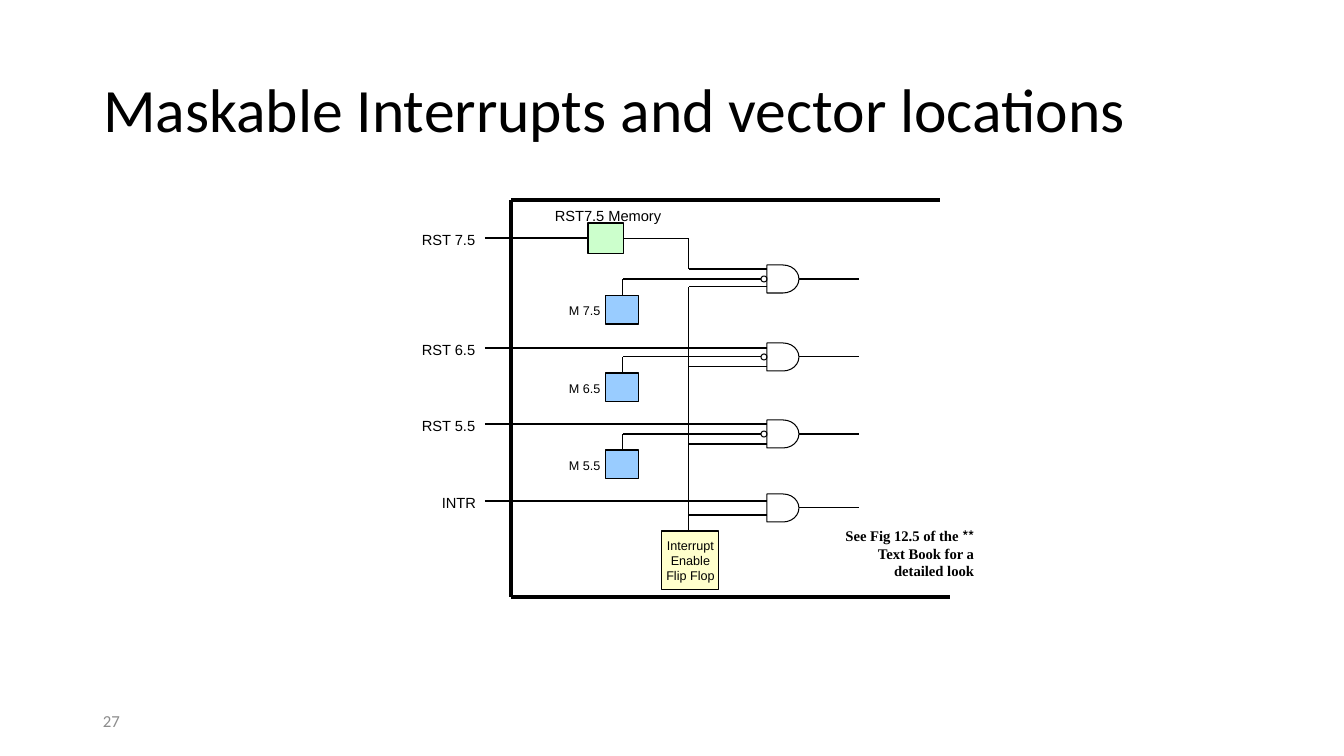
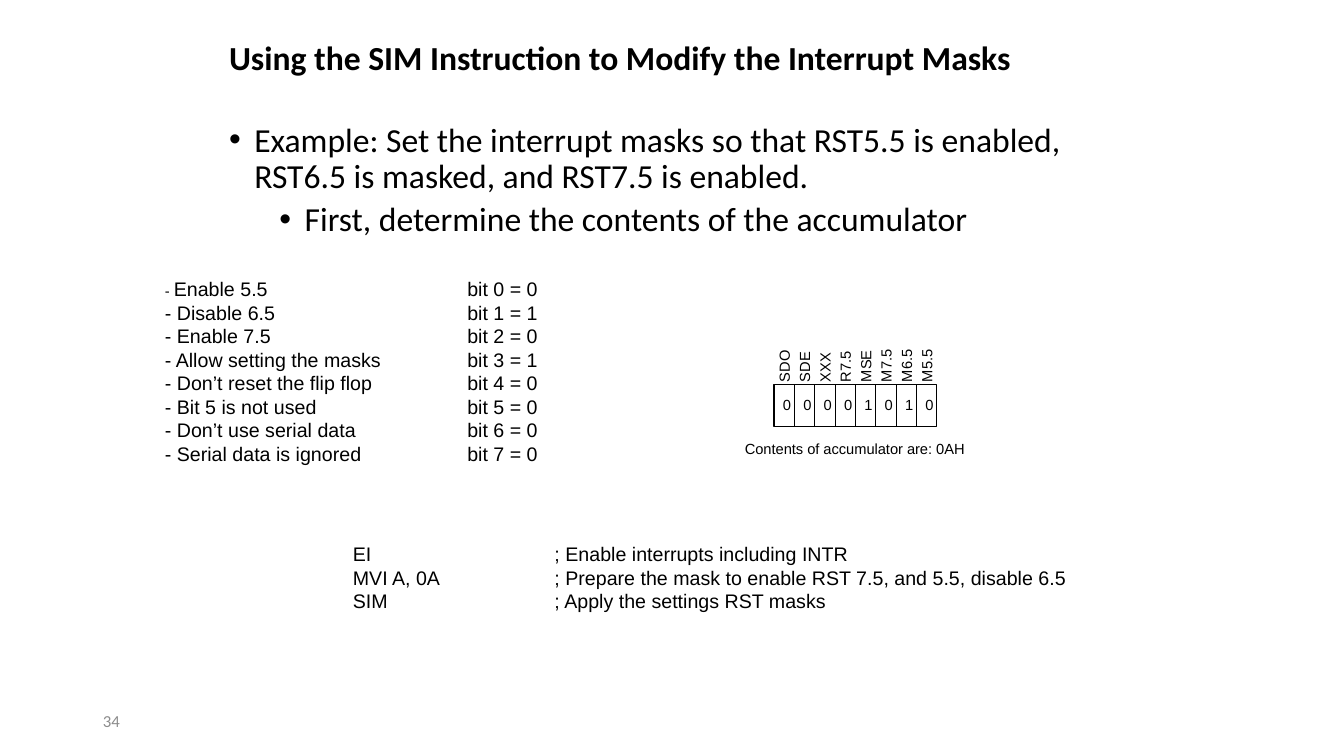
from dataclasses import dataclass

from lxml import etree
from pptx import Presentation
from pptx import util as u
from pptx.dml.color import RGBColor
from pptx.enum import shapes, text
from pptx.oxml import ns

# Shared scale, colours and fonts
PIXEL = 12192000 / 1344
BLACK, GREY = "000000", "8C8C8C"
GREEN, BLUE, YELLOW = "CCFFCC", "99CCFF", "FFFFCC"
HEADING, LABEL, NOTE = "Calibri", "Arial", "Times New Roman"
LEFT, CENTER, RIGHT = text.PP_ALIGN.LEFT, text.PP_ALIGN.CENTER, text.PP_ALIGN.RIGHT
TOP, MIDDLE = text.MSO_ANCHOR.TOP, text.MSO_ANCHOR.MIDDLE
RECTANGLE = shapes.MSO_SHAPE.RECTANGLE


@dataclass
class Box:
    left: float
    top: float
    width: float
    height: float


@dataclass
class Interrupt:
    name: str
    label_width: int
    pin_y: int
    pin_end: int
    gate_y: int
    enable_y: int
    mask: str = ""


@dataclass
class Bit:
    name: str
    value: str


def px(length: float) -> u.Emu:
    return u.Emu(round(length * PIXEL))


def color(value: str) -> RGBColor:
    return RGBColor.from_string(value)


def place(shape, box: Box) -> None:
    shape.left, shape.top = px(box.left), px(box.top)
    shape.width, shape.height = px(box.width), px(box.height)


def write(shape, paragraphs, *, size=10.5, font=LABEL, fill=BLACK, bold=False,
          align=LEFT, anchor=TOP, wrap=True, grow=False, spacing=None, tab=None):
    """Fill a shape; a paragraph is a string or a list of (text, size) runs."""
    frame = shape.text_frame
    frame.word_wrap = wrap
    frame.vertical_anchor = anchor
    frame.auto_size = (text.MSO_AUTO_SIZE.SHAPE_TO_FIT_TEXT if grow
                       else text.MSO_AUTO_SIZE.NONE)
    for index, content in enumerate(paragraphs):
        paragraph = frame.paragraphs[0] if index == 0 else frame.add_paragraph()
        paragraph.alignment = align
        if spacing:
            paragraph.line_spacing = spacing
        if tab:
            properties = paragraph._p.get_or_add_pPr()
            stops = etree.SubElement(properties, ns.qn("a:tabLst"))
            etree.SubElement(stops, ns.qn("a:tab"), pos=str(u.Inches(tab)), algn="l")
        runs = [(content, size)] if isinstance(content, str) else content
        for words, points in runs:
            run = paragraph.add_run()
            run.text = words
            run.font.size = u.Pt(points)
            run.font.name = font
            run.font.bold = bold
            run.font.color.rgb = color(fill)
    return frame


def add_text(slide, box: Box, *paragraphs, rotation=0, **style):
    shape = slide.shapes.add_textbox(0, 0, 0, 0)
    write(shape, paragraphs, **style)
    place(shape, box)
    shape.rotation = rotation
    return shape


def add_label(slide, box: Box, words: str, **style):
    return add_text(slide, box, words, wrap=False, grow=True, **style)


def add_outline(slide, box: Box, kind=RECTANGLE, fill: str = ""):
    shape = slide.shapes.add_shape(kind, 0, 0, 0, 0)
    place(shape, box)
    shape.shadow.inherit = False
    if fill:
        shape.fill.solid()
        shape.fill.fore_color.rgb = color(fill)
    else:
        shape.fill.background()
    shape.line.color.rgb = color(BLACK)
    shape.line.width = u.Pt(0.75)
    return shape


def add_wire(slide, *points: tuple[float, float], weight: float = 0.75) -> None:
    """Join the points with straight lines."""
    for (x1, y1), (x2, y2) in zip(points, points[1:]):
        wire = slide.shapes.add_connector(
            shapes.MSO_CONNECTOR.STRAIGHT, px(x1), px(y1), px(x2), px(y2))
        wire.line.color.rgb = color(BLACK)
        wire.line.width = u.Pt(weight)
        etree.SubElement(wire._element.spPr, ns.qn("a:effectLst"))


def start_slide(presentation, layout: int, title: str, box: Box, number: str,
                size: float, bold: bool = False):
    slide = presentation.slides.add_slide(presentation.slide_layouts[layout])
    place(slide.shapes.title, box)
    write(slide.shapes.title, [title], size=size, font=HEADING, bold=bold,
          anchor=MIDDLE, spacing=0.9)
    add_text(slide, Box(93, 701, 302, 40), number, size=12, font=HEADING,
             fill=GREY, anchor=MIDDLE)
    return slide


def add_bullet(paragraph, level: int, before: float) -> None:
    paragraph.level = level
    paragraph.space_before = u.Pt(before)
    properties = paragraph._p.get_or_add_pPr()
    properties.set("marL", str(u.Inches(0.25 + 0.5 * level)))
    properties.set("indent", str(u.Inches(-0.25)))
    etree.SubElement(properties, ns.qn("a:buFont"), typeface="Arial")
    etree.SubElement(properties, ns.qn("a:buChar"), char="•")


presentation = Presentation()
presentation.slide_width, presentation.slide_height = px(1344), px(756)

# Slide 1: interrupt logic
slide = start_slide(presentation, 5, "Maskable Interrupts and vector locations",
                    Box(93, 40, 1159, 146), "27", 44)

GATE_X, GATE_WIDTH, GATE_HEIGHT = 767, 32, 28
MEMORY_X, TRUNK_X, STEM_X = 588, 689, 623
interrupts = [
    Interrupt("RST 7.5", 75, 238, MEMORY_X, 265, 287, "M 7.5"),
    Interrupt("RST 6.5", 75, 348, GATE_X, 343, 367, "M 6.5"),
    Interrupt("RST 5.5", 75, 424, GATE_X, 420, 444, "M 5.5"),
    Interrupt("INTR", 55, 501, GATE_X, 494, 515),
]

# Processor boundary
add_wire(slide, (940, 200), (511, 200), (511, 597), (950, 597), weight=3)

# Each interrupt: pin, mask, gate and output
for interrupt in interrupts:
    middle_y = interrupt.gate_y + GATE_HEIGHT / 2
    add_label(slide, Box(487 - interrupt.label_width, interrupt.pin_y - 12,
                         interrupt.label_width, 28), interrupt.name)
    add_wire(slide, (485, interrupt.pin_y), (interrupt.pin_end, interrupt.pin_y))
    add_wire(slide, (TRUNK_X, interrupt.enable_y), (GATE_X, interrupt.enable_y))
    add_outline(slide, Box(GATE_X, interrupt.gate_y, GATE_WIDTH, GATE_HEIGHT),
                shapes.MSO_SHAPE.FLOWCHART_DELAY)
    add_wire(slide, (GATE_X + GATE_WIDTH, middle_y), (859, middle_y))
    if interrupt.mask:
        mask_y = interrupt.gate_y + 30
        add_outline(slide, Box(606, mask_y, 33, 29), fill=BLUE)
        add_label(slide, Box(559, mask_y + 3, 52, 25), interrupt.mask, size=9)
        add_wire(slide, (STEM_X, mask_y), (STEM_X, middle_y), (761, middle_y))
        add_outline(slide, Box(761, middle_y - 3, 6, 6), shapes.MSO_SHAPE.OVAL)

# RST 7.5 memory
add_outline(slide, Box(MEMORY_X, 223, 36, 31), fill=GREEN)
add_label(slide, Box(545, 202, 128, 28), "RST7.5 Memory")
add_wire(slide, (624, 239), (TRUNK_X, 239), (TRUNK_X, 269), (GATE_X, 269))

# Enable flip flop and its trunk
add_wire(slide, (TRUNK_X, 531), (TRUNK_X, interrupts[0].enable_y))
flip_flop = add_outline(slide, Box(662, 531, 57, 59), fill=YELLOW)
write(flip_flop, ["Interrupt", "Enable", "Flip Flop"], size=9, align=CENTER,
      anchor=MIDDLE, wrap=False)

# Book reference, set right to left
reference = add_text(slide, Box(820, 522, 164, 64),
                     "** See Fig 12.5 of the Text Book for a detailed look ",
                     font=NOTE, bold=True, align=RIGHT, grow=True)
reference.text_frame.paragraphs[0]._p.get_or_add_pPr().set("rtl", "1")

# Slide 2: mask example
slide = start_slide(presentation, 1,
                    "Using the SIM Instruction to Modify the Interrupt Masks",
                    Box(219, 30, 907, 59), "34", 24, bold=True)
body = slide.placeholders[1]
place(body, Box(219, 118, 932, 557))
example = write(body, [
    "Example: Set the interrupt masks so that RST5.5 is enabled, "
    "RST6.5 is masked, and RST7.5 is enabled.",
    "First, determine the contents of the accumulator",
], size=24, font=HEADING, spacing=0.9)
for level, before in enumerate((10, 5)):
    add_bullet(example.paragraphs[level], level, before)

# Settings and their bits
add_text(slide, Box(155, 272, 507, 201),
         [("- ", 10.5), ("Enable 5.5\tbit 0 = 0", 14)],
         "- Disable 6.5\tbit 1 = 1",
         "- Enable 7.5\tbit 2 = 0",
         "- Allow setting the masks\tbit 3 = 1",
         "- Don’t reset the flip flop\tbit 4 = 0",
         "- Bit 5 is not used\tbit 5 = 0",
         "- Don’t use serial data\tbit 6 = 0",
         "- Serial data is ignored\tbit 7 = 0",
         size=14, grow=True, tab=3)

# Accumulator cells, each under its upright bit name
bits = [Bit("SDO", "0"), Bit("SDE", "0"), Bit("XXX", "0"), Bit("R7.5", "0"),
        Bit("MSE", "1"), Bit("M7.5", "0"), Bit("M6.5", "1"), Bit("M5.5", "0")]
register = Box(774, 385, 163, 42)
cell_width = register.width / len(bits)
NAME_LENGTH, NAME_HEIGHT, NAME_BOTTOM = 64, 28, 392
name_top = NAME_BOTTOM - (NAME_LENGTH + NAME_HEIGHT) / 2
add_outline(slide, register)
for index, bit in enumerate(bits):
    cell_x = register.left + index * cell_width
    if index:
        add_wire(slide, (cell_x, register.top + register.height),
                 (cell_x, register.top))
    add_text(slide, Box(cell_x + (cell_width - NAME_LENGTH) / 2, name_top,
                        NAME_LENGTH, NAME_HEIGHT), bit.name, rotation=270)
    add_label(slide, Box(cell_x - 1, 391, 28, 28), bit.value)
add_label(slide, Box(735, 435, 244, 28), "Contents of accumulator are: 0AH")

# Program
add_text(slide, Box(343, 537, 783, 82),
         "EI\t; Enable interrupts including INTR",
         "MVI A, 0A\t; Prepare the mask to enable RST 7.5, and 5.5, disable 6.5",
         "SIM\t; Apply the settings RST masks",
         size=14, grow=True, tab=2)

presentation.save("out.pptx")
